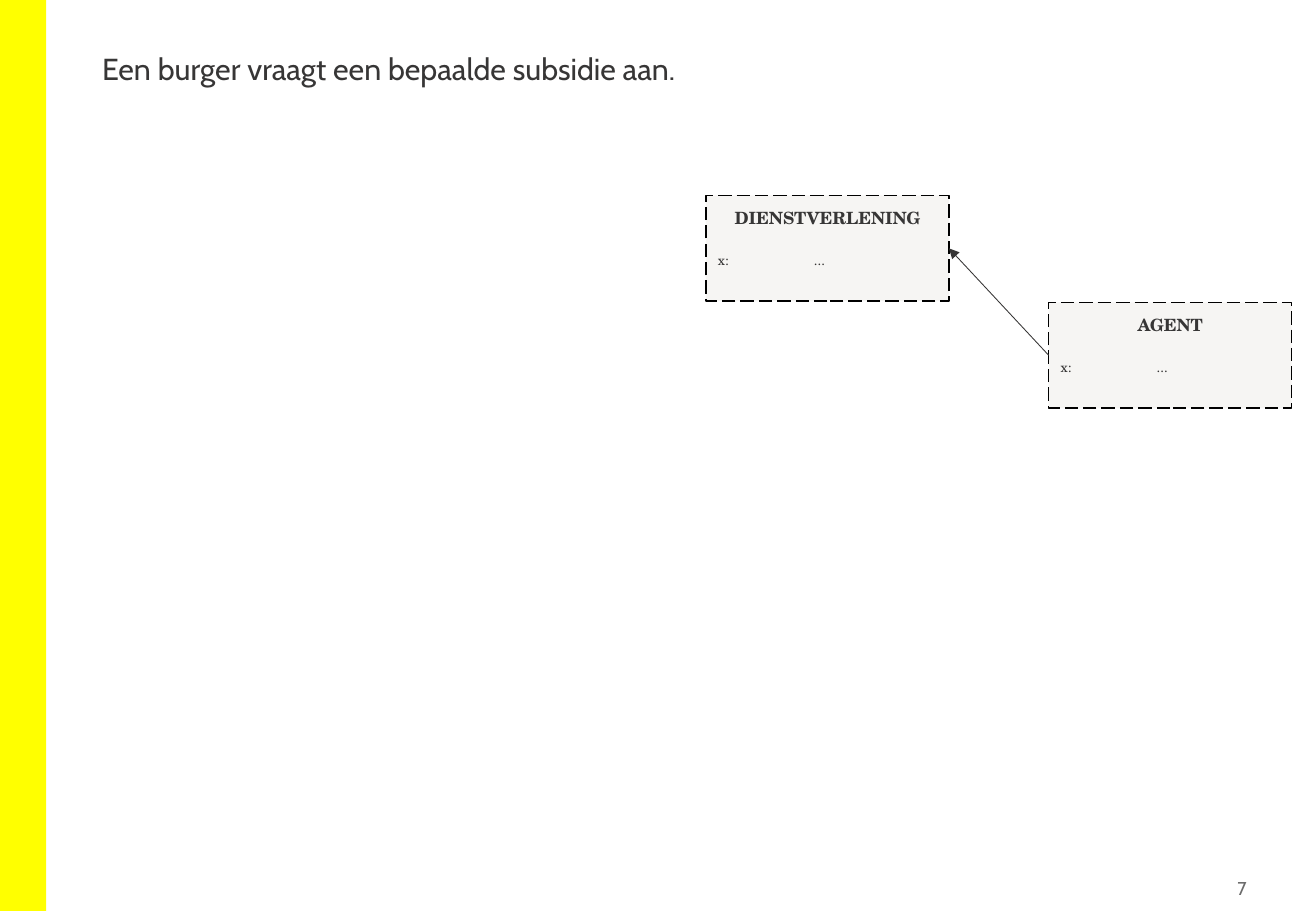
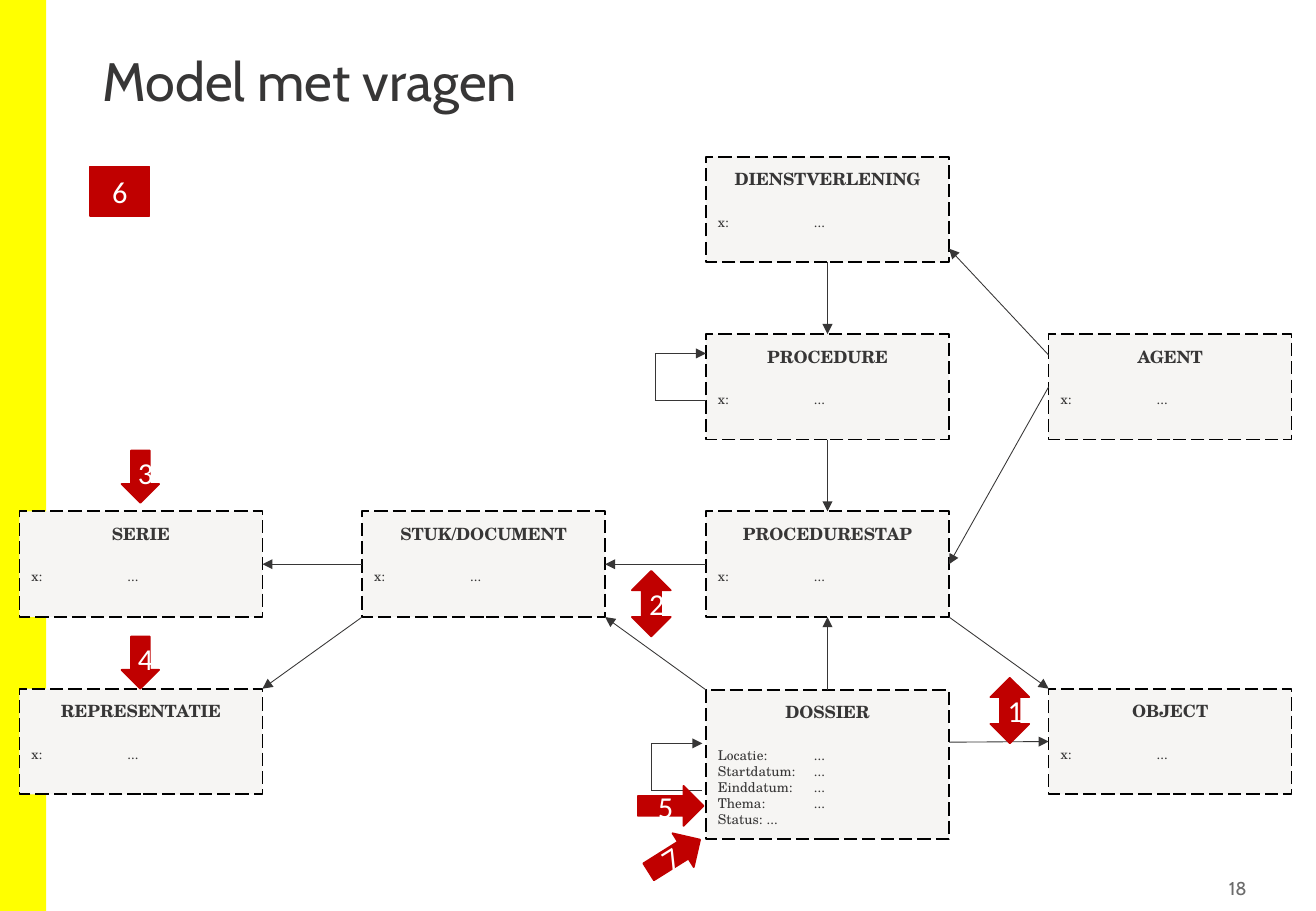
from lxml import etree
from pptx import Presentation
from pptx.dml.color import RGBColor
from pptx.enum.dml import MSO_LINE
from pptx.enum.shapes import MSO_CONNECTOR, MSO_SHAPE
from pptx.enum.text import MSO_ANCHOR, PP_ALIGN
from pptx.oxml.ns import qn
from pptx.util import Inches, Pt

RECT, DOWN = MSO_SHAPE.RECTANGLE, MSO_SHAPE.DOWN_ARROW
UP_DOWN, RIGHT = MSO_SHAPE.UP_DOWN_ARROW, MSO_SHAPE.RIGHT_ARROW
STRAIGHT, ELBOW = MSO_CONNECTOR.STRAIGHT, MSO_CONNECTOR.ELBOW
CENTER, ALIGN_RIGHT = PP_ALIGN.CENTER, PP_ALIGN.RIGHT
TOP, MIDDLE = MSO_ANCHOR.TOP, MSO_ANCHOR.MIDDLE
LONG_DASH = MSO_LINE.LONG_DASH

INK, GREY, PAPER, BLACK = "373636", "6B6B6B", "F6F5F3", "000000"
YELLOW, RED, WHITE = "FFFF00", "C00000", "FFFFFF"
SANS, SERIF, MARKER_FONT = "Cabin", "TeX Gyre Schola", "Calibri"

ENTITY_WIDTH, ENTITY_HEIGHT = 2, 0.87
COLUMNS, ROW_PITCH = (0, 2.82, 5.65, 8.47), 1.46
VALUE_TAB = 0.79

# Side middles as fractions of a box, with their connection sites
SITES = {(0.5, 0): 0, (0, 0.5): 1, (0.5, 1): 2, (1, 0.5): 3}

# Name, column, row
ENTITIES = [
    ("DIENSTVERLENING", 2, 0), ("PROCEDURE", 2, 1), ("AGENT", 3, 1),
    ("SERIE", 0, 2), ("STUK/DOCUMENT", 1, 2), ("PROCEDURESTAP", 2, 2),
    ("REPRESENTATIE", 0, 3), ("OBJECT", 3, 3),
]
DOSSIER_FIELDS = ["Locatie:\t...", "Startdatum:\t...", "Einddatum:\t...",
                  "Thema:\t...", "Status: ..."]

# Start box and spot, end box and spot
LINKS = [
    ("DIENSTVERLENING", (0.5, 1), "PROCEDURE", (0.5, 0)),
    ("PROCEDURE", (0.5, 1), "PROCEDURESTAP", (0.5, 0)),
    ("DOSSIER", (0.5, 0), "PROCEDURESTAP", (0.5, 1)),
    ("AGENT", (0, 0.2), "DIENSTVERLENING", (1, 0.87)),
    ("AGENT", (0, 0.5), "PROCEDURESTAP", (1, 0.5)),
    ("PROCEDURESTAP", (0, 0.5), "STUK/DOCUMENT", (1, 0.5)),
    ("STUK/DOCUMENT", (0, 0.5), "SERIE", (1, 0.5)),
    ("STUK/DOCUMENT", (0, 1), "REPRESENTATIE", (1, 0)),
    ("PROCEDURESTAP", (1, 1), "OBJECT", (0, 0)),
    ("DOSSIER", (0, 0), "STUK/DOCUMENT", (1, 1)),
    ("DOSSIER", (1, 0.35), "OBJECT", (0, 0.5)),
]

# Label, shape, left, top, width, height, rotation
MARKERS = [
    ("1", UP_DOWN, 7.99, 4.29, 0.32, 0.54, 0),
    ("2", UP_DOWN, 5.04, 3.41, 0.32, 0.54, 0),
    ("3", DOWN, 0.84, 2.42, 0.31, 0.43, 0),
    ("4", DOWN, 0.84, 3.95, 0.31, 0.43, 0),
    ("5", RIGHT, 5.09, 5.18, 0.54, 0.33, 0),
    ("6", RECT, 0.58, 0.08, 0.49, 0.41, 0),
    ("7", RIGHT, 5.14, 5.59, 0.5, 0.33, 327.9),
]


def color(hex_text):
    return RGBColor.from_string(hex_text)


def add_span(para, text, size, font, hex_text, bold=False):
    span = para.add_run()
    span.text = text
    span.font.size, span.font.name, span.font.bold = Pt(size), font, bold
    span.font.color.rgb = color(hex_text)


def set_insets(frame, inset):
    frame.margin_left = frame.margin_right = Inches(inset)
    frame.margin_top = frame.margin_bottom = Inches(inset)


def add_box(page, kind, left, top, width, height, fill, line=None):
    box = page.shapes.add_shape(kind, Inches(left), Inches(top),
                                Inches(width), Inches(height))
    box.shadow.inherit = False
    box.fill.solid()
    box.fill.fore_color.rgb = color(fill)
    if line:
        box.line.color.rgb = color(line)
        box.line.width = Pt(1)
    else:
        box.line.fill.background()
    return box


def add_line(page, start, end, kind=STRAIGHT, arrow=True):
    line = page.shapes.add_connector(kind, *start, *end)
    line.line.color.rgb = color(INK)
    line.line.width = Pt(0.5)
    properties = line.element.spPr
    if arrow:
        etree.SubElement(properties.find(qn("a:ln")), qn("a:tailEnd"), type="triangle")
    etree.SubElement(properties, qn("a:effectLst"))
    return line


# Entity box: bold name above a list of fields
def add_entity(page, name, left, top, fields=("x:\t...",), height=ENTITY_HEIGHT):
    box = add_box(page, RECT, left, top, ENTITY_WIDTH, height, PAPER, BLACK)
    box.line.dash_style = LONG_DASH
    frame = box.text_frame
    frame.vertical_anchor = TOP
    set_insets(frame, 0.1)
    frame.paragraphs[0].alignment = CENTER
    add_span(frame.paragraphs[0], name, 10, SERIF, INK, True)
    for index, field in enumerate(fields):
        para = frame.add_paragraph()
        para.alignment = PP_ALIGN.LEFT
        para.space_before = Pt(0 if index else 14.5)
        tabs = etree.SubElement(para._p.get_or_add_pPr(), qn("a:tabLst"))
        etree.SubElement(tabs, qn("a:tab"), pos=str(Inches(VALUE_TAB)), algn="l")
        add_span(para, field, 8, SERIF, INK)
    return box


def spot_on(box, spot):
    return (int(box.left + box.width * spot[0]), int(box.top + box.height * spot[1]))


def add_link(page, source, source_spot, target, target_spot):
    link = add_line(page, spot_on(source, source_spot), spot_on(target, target_spot))
    if source_spot in SITES:
        link.begin_connect(source, SITES[source_spot])
    if target_spot in SITES:
        link.end_connect(target, SITES[target_spot])


# Loop on the left side of a box, back to itself
def add_loop(page, box, gap, drop):
    right, top = box.left - Inches(gap), box.top + Inches(drop)
    left, bottom = right - Inches(0.42), top + Inches(0.39)
    add_line(page, (left, top), (right, top), ELBOW)
    add_line(page, (left, top), (left, bottom), arrow=False)
    add_line(page, (left, bottom), (right, bottom), arrow=False)


def add_marker(page, label, kind, left, top, width, height, rotation):
    marker = add_box(page, kind, left, top, width, height, RED, RED)
    marker.rotation = rotation
    marker.text_frame.vertical_anchor = MIDDLE
    para = marker.text_frame.paragraphs[0]
    para.alignment = CENTER
    add_span(para, label, 18, MARKER_FONT, WHITE)


# Title and page number
def add_page(deck, title_text, title_size, number):
    page = deck.slides.add_slide(deck.slide_layouts[5])
    title = page.shapes.title
    title.left, title.top = Inches(0.74), Inches(0.4)
    title.width, title.height = Inches(9.34), Inches(1.08)
    title.text_frame.vertical_anchor = TOP
    para = title.text_frame.paragraphs[0]
    para.alignment, para.line_spacing = PP_ALIGN.LEFT, 0.9
    add_span(para, title_text, title_size, SANS, INK)

    footer = page.shapes.add_textbox(Inches(9.5), Inches(7.17), Inches(0.81), Inches(0.29))
    frame = footer.text_frame
    frame.word_wrap, frame.vertical_anchor = True, MIDDLE
    set_insets(frame, 0.05)
    frame.paragraphs[0].alignment = ALIGN_RIGHT
    add_span(frame.paragraphs[0], str(number), 11, SANS, GREY)
    return page


# Yellow band, moved to the master behind everything else
def add_master_band(deck, page):
    band = add_box(page, RECT, 0, 0, 0.38, 7.5, YELLOW)
    deck.slide_master.shapes.element.insert(2, band.element)


def draw_request(page, left, top):
    service = add_entity(page, "DIENSTVERLENING", left, top)
    agent = add_entity(page, "AGENT", left + 2.82, top + 0.88)
    add_link(page, agent, (0, 0.5), service, (1, 0.5))


def draw_model(page, left, top):
    boxes = {name: add_entity(page, name, left + COLUMNS[column], top + row * ROW_PITCH)
             for name, column, row in ENTITIES}
    boxes["DOSSIER"] = add_entity(page, "DOSSIER", left + COLUMNS[2],
                                  top + 3 * ROW_PITCH + 0.01, DOSSIER_FIELDS, 1.23)
    for source, source_spot, target, target_spot in LINKS:
        add_link(page, boxes[source], source_spot, boxes[target], target_spot)
    add_loop(page, boxes["PROCEDURE"], 0, 0.16)
    add_loop(page, boxes["DOSSIER"], 0.03, 0.44)
    for label, kind, across, down, width, height, rotation in MARKERS:
        add_marker(page, label, kind, left + across, top + down, width, height, rotation)


def main():
    deck = Presentation()
    deck.slide_width, deck.slide_height = Inches(10.83), Inches(7.5)

    request = add_page(deck, "Een burger vraagt een bepaalde subsidie aan.", 18, 7)
    add_master_band(deck, request)
    draw_request(request, 5.81, 1.61)

    model = add_page(deck, "Model met vragen", 32, 18)
    draw_model(model, 0.16, 1.29)

    deck.save("out.pptx")


if __name__ == "__main__":
    main()
